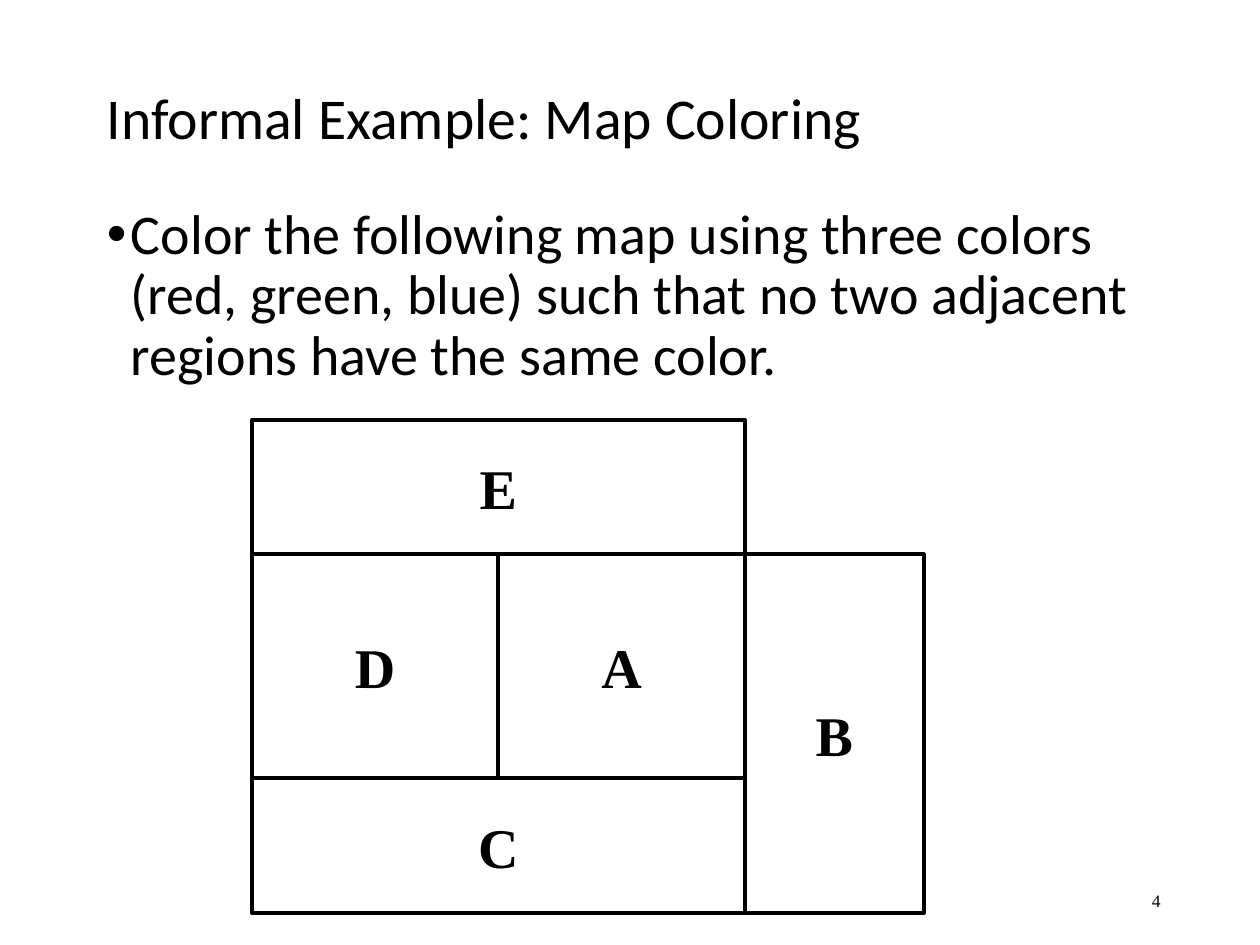
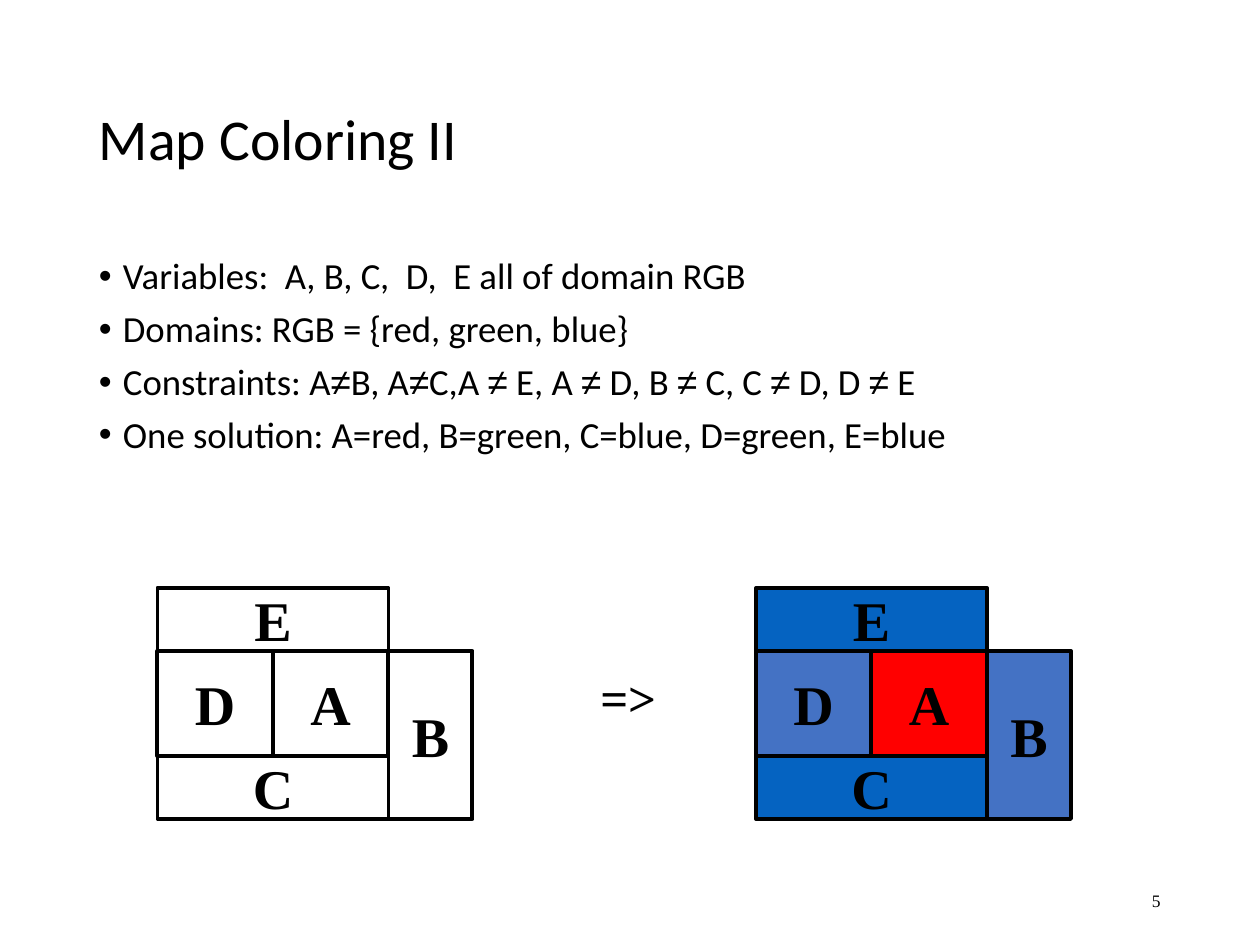
"""Build two slides that explain map coloring as a constraint problem."""
from dataclasses import dataclass, field
from itertools import groupby
from typing import Any, NamedTuple

from lxml import etree
from pptx import Presentation, util as u
from pptx.dml.color import RGBColor
from pptx.enum import shapes, text
from pptx.oxml import ns

WIDTH, HEIGHT = u.Inches(10), u.Inches(7.5)
COLUMNS, ROWS = 120, 90
BLACK, RED, BLUE, STEEL = "000000", "FF0000", "0563C1", "4472C4"
SANS, SERIF, SYMBOL = "Calibri", "Times New Roman", "Arial"
BULLET_INDENT = u.Inches(0.19)


class Area(NamedTuple):
    """Left, top, width and height in cells of the slide grid."""
    left: float
    top: float
    width: float
    height: float

    def lengths(self) -> list[int]:
        """Give the four values as slide lengths."""
        across, down = WIDTH / COLUMNS, HEIGHT / ROWS
        return [round(value * step) for value, step in zip(self, (across, down) * 2)]


@dataclass(frozen=True)
class Style:
    """Format values for the font, the paragraphs and the frame of a text."""
    font: dict[str, Any]
    para: dict[str, Any] = field(default_factory=dict)
    frame: dict[str, Any] = field(default_factory=dict)
    bullet: bool = False


@dataclass(frozen=True)
class RegionMap:
    """A map of regions: its corner, the size of one map unit, and its colors."""
    left: float
    top: float
    unit: float
    fills: dict[str, str] = field(default_factory=dict)


@dataclass(frozen=True)
class Content:
    """Everything that one slide shows."""
    number: int
    title: str
    title_area: Area
    points: list[str]
    points_area: Area
    point_size: int
    maps: list[RegionMap]


MIDDLE = {"vertical_anchor": text.MSO_ANCHOR.MIDDLE}
WRAP, NO_WRAP = {"word_wrap": True}, {"word_wrap": False}
TITLE = Style({"name": SANS, "size": u.Pt(33)}, {"line_spacing": 0.9}, MIDDLE | WRAP)
NUMBER = Style({"name": SERIF, "size": u.Pt(10)},
               {"alignment": text.PP_ALIGN.RIGHT}, MIDDLE | WRAP)
LABEL = Style({"name": SERIF, "size": u.Pt(32), "bold": True},
              {"alignment": text.PP_ALIGN.CENTER}, MIDDLE | NO_WRAP)
IMPLIES = Style({"name": SERIF, "size": u.Pt(28), "bold": True}, {},
                NO_WRAP | {"auto_size": text.MSO_AUTO_SIZE.SHAPE_TO_FIT_TEXT})

NUMBER_AREA = Area(84.7, 83.4, 27, 4.8)
IMPLIES_AREA = Area(56, 63, 7.7, 6.8)
REGIONS = {
    "E": Area(0, 0, 11, 3),
    "D": Area(0, 3, 5.5, 5),
    "A": Area(5.5, 3, 5.5, 5),
    "C": Area(0, 8, 11, 3),
    "B": Area(11, 3, 4, 8),
}
SOLUTION = {"A": RED, "B": STEEL, "C": BLUE, "D": STEEL, "E": BLUE}

EXAMPLE = Content(
    4, "Informal Example: Map Coloring", Area(9, 4, 102, 15),
    ["Color the following map using three colors (red, green, blue) "
     "such that no two adjacent regions have the same color."],
    Area(9, 19, 102, 22), 32, [RegionMap(24, 40, 64 / 15)])
FORMAL = Content(
    5, "Map Coloring II", Area(8.25, 4.8, 103.5, 17.4),
    ["Variables:  A, B, C,  D,  E all of domain RGB",
     "Domains: RGB = {red, green, blue}",
     "Constraints: A≠B, A≠C,A ≠ E, A ≠ D, B ≠ C, C ≠ D, D ≠ E",
     "One solution: A=red, B=green, C=blue, D=green, E=blue"],
    Area(8.25, 24, 103.5, 57.1), 21,
    [RegionMap(15, 56, 2), RegionMap(72, 56, 2, SOLUTION)])


def color(value: str) -> RGBColor:
    """Turn a hex string into a color."""
    return RGBColor.from_string(value)


def apply(target: Any, values: dict[str, Any]) -> None:
    """Set each format value on the target."""
    for name, value in values.items():
        setattr(target, name, value)


def add_bullet(para: Any) -> None:
    """Give a paragraph a round black bullet with a hanging indent."""
    props = para._p.get_or_add_pPr()
    props.set("marL", str(BULLET_INDENT))
    props.set("indent", str(-BULLET_INDENT))
    tint = etree.SubElement(props, ns.qn("a:buClr"))
    etree.SubElement(tint, ns.qn("a:srgbClr"), val=BLACK)
    etree.SubElement(props, ns.qn("a:buFont"), typeface=SYMBOL)
    etree.SubElement(props, ns.qn("a:buChar"), char="•")


def write(box: Any, lines: list[str], style: Style) -> None:
    """Write lines as paragraphs, with the unequal sign in the symbol font."""
    frame = box.text_frame
    apply(frame, style.frame)
    for index, line in enumerate(lines):
        para = frame.add_paragraph() if index else frame.paragraphs[0]
        apply(para, style.para)
        if style.bullet:
            add_bullet(para)
        for is_symbol, letters in groupby(line, key=lambda letter: letter == "≠"):
            span = para.add_run()
            span.text = "".join(letters)
            apply(span.font, style.font | ({"name": SYMBOL} if is_symbol else {}))
            span.font.color.rgb = color(BLACK)


def add_text(page: Any, area: Area, lines: list[str], style: Style) -> None:
    """Add a text box to the page."""
    write(page.shapes.add_textbox(*area.lengths()), lines, style)


def add_map(page: Any, region_map: RegionMap) -> None:
    """Draw the regions of a map as one group."""
    group = page.shapes.add_group_shape()
    unit = region_map.unit
    for name, region in REGIONS.items():
        area = Area(region_map.left + region.left * unit,
                    region_map.top + region.top * unit,
                    region.width * unit, region.height * unit)
        box = group.shapes.add_shape(shapes.MSO_SHAPE.RECTANGLE, *area.lengths())
        box.shadow.inherit = False
        box.line.color.rgb = color(BLACK)
        box.line.width = u.Pt(2.25)
        if name in region_map.fills:
            box.fill.solid()
            box.fill.fore_color.rgb = color(region_map.fills[name])
        else:
            box.fill.background()
        write(box, [name], LABEL)


def add_page(deck: Any, content: Content) -> Any:
    """Add a slide with its title, points, number and maps."""
    page = deck.slides.add_slide(deck.slide_layouts[6])
    points = Style({"name": SANS, "size": u.Pt(content.point_size)},
                   {"line_spacing": 0.9, "space_before": u.Pt(7.5)}, WRAP, bullet=True)
    add_text(page, content.title_area, [content.title], TITLE)
    add_text(page, content.points_area, content.points, points)
    add_text(page, NUMBER_AREA, [str(content.number)], NUMBER)
    for region_map in content.maps:
        add_map(page, region_map)
    return page


def main() -> None:
    """Build and save the deck."""
    deck = Presentation()
    apply(deck, {"slide_width": WIDTH, "slide_height": HEIGHT})
    add_page(deck, EXAMPLE)
    formal_page = add_page(deck, FORMAL)
    add_text(formal_page, IMPLIES_AREA, ["=>"], IMPLIES)
    deck.save("out.pptx")


if __name__ == "__main__":
    main()
